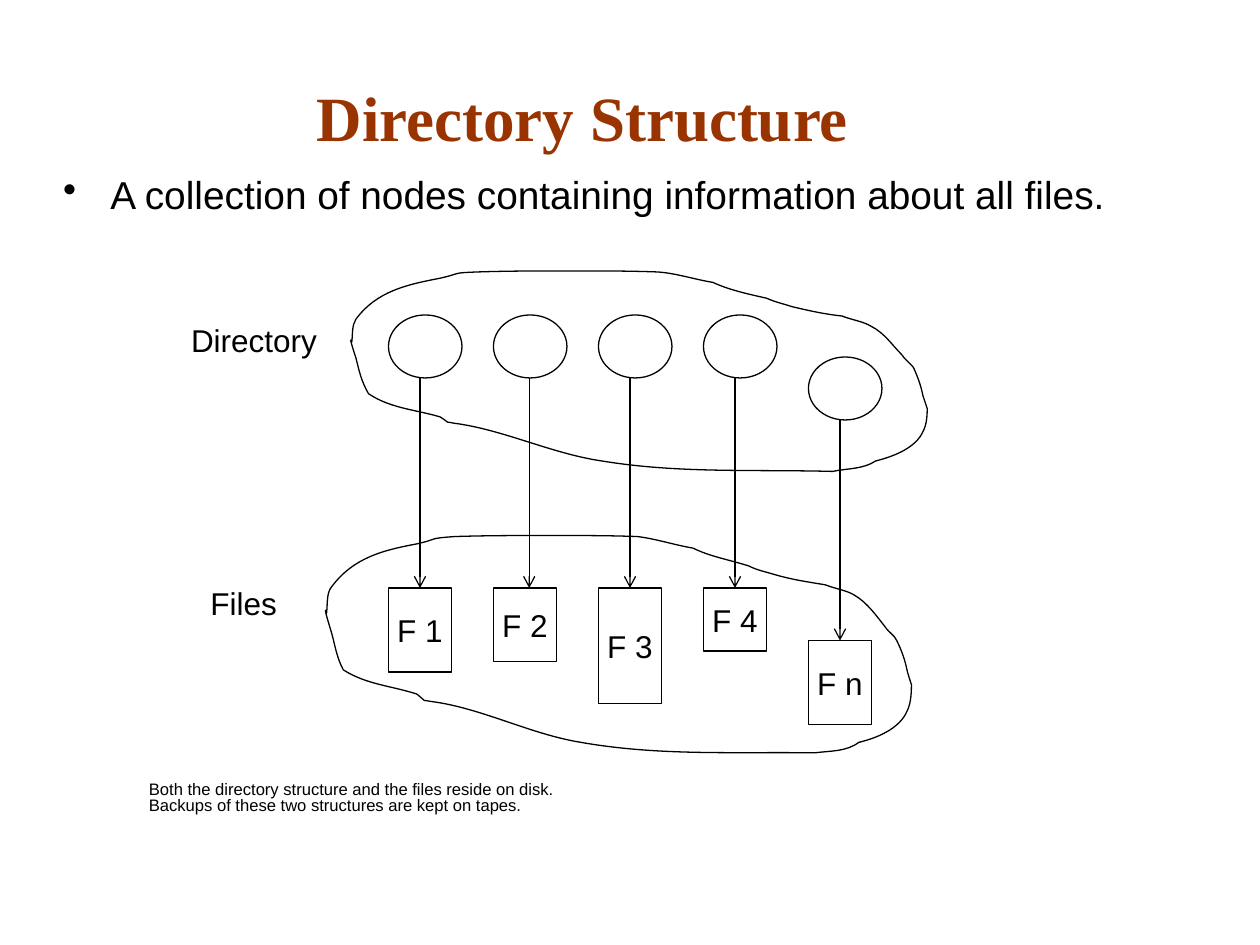
from dataclasses import dataclass, field
from typing import Any

from lxml.etree import SubElement
from pptx import Presentation
from pptx.dml.color import RGBColor
from pptx.enum.shapes import MSO_CONNECTOR, MSO_SHAPE
from pptx.enum.text import MSO_ANCHOR, MSO_AUTO_SIZE, PP_ALIGN
from pptx.oxml.ns import qn
from pptx.util import Pt

EMU_PER_PX = 7620  # 120 px to the inch
COLORS = {"title": "993300", "ink": "000000", "paper": "FFFFFF"}
LINE_WIDTH = Pt(0.75)

# Cloud outline in a 458 x 161 grid: a start point, then three points per curve.
CLOUD_GRID = (458, 161)
CLOUD_START = (1, 57)
CLOUD_CURVES = [
    ((2, 50), (1, 43), (4, 38)),
    ((21, 16), (45, 11), (71, 6)),
    ((89, 2), (79, 2), (101, 1)),
    ((126, 0), (151, 0), (177, 0)),
    ((199, 0), (221, 0), (243, 1)),
    ((257, 2), (272, 7), (287, 9)),
    ((300, 15), (315, 18), (330, 22)),
    ((337, 25), (342, 26), (350, 28)),
    ((364, 32), (375, 34), (390, 36)),
    ((398, 39), (406, 40), (413, 44)),
    ((423, 49), (430, 59), (437, 67)),
    ((440, 71), (444, 73), (446, 77)),
    ((450, 84), (452, 91), (454, 99)),
    ((455, 102), (457, 109), (457, 109)),
    ((457, 113), (457, 122), (454, 128)),
    ((448, 141), (430, 148), (416, 151)),
    ((406, 158), (394, 157), (382, 159)),
    ((318, 158), (260, 161), (199, 151)),
    ((159, 145), (121, 126), (82, 121)),
    ((80, 121), (79, 120), (77, 120)),
    ((75, 119), (73, 117), (71, 116)),
    ((51, 110), (32, 109), (14, 98)),
    ((8, 88), (7, 79), (4, 69)),
    ((4, 69), (0, 57), (0, 55)),
    ((0, 54), (1, 56), (1, 57)),
]

FIRST_COLUMN, COLUMN_STEP = 370, 100
NODE_WIDTH, NODE_HEIGHT = 70, 60
FILE_WIDTH = 60


@dataclass(frozen=True)
class Box:
    left: int
    top: int
    width: int
    height: int

    def emu(self) -> list[int]:
        return [px(value) for value in (self.left, self.top, self.width, self.height)]


@dataclass(frozen=True)
class FileEntry:
    label: str
    node_top: int
    file_top: int
    file_height: int
    arrow_offset: int = 30


@dataclass(frozen=True)
class TextStyle:
    size: float
    font: str = "Arial"
    color: str = "ink"
    bold: bool = False
    align: Any = PP_ALIGN.LEFT
    line_spacing: float = 1.0
    bullet: bool = False
    frame: dict[str, Any] = field(default_factory=dict)


def px(value: int) -> int:
    return value * EMU_PER_PX


def rgb(name: str) -> RGBColor:
    return RGBColor.from_string(COLORS[name])


def set_attributes(target: Any, values: dict[str, Any]) -> None:
    for name, value in values.items():
        setattr(target, name, value)


def write_text(shape: Any, lines: list[str], style: TextStyle) -> None:
    text_frame = shape.text_frame
    margins = {"margin_left": px(12), "margin_right": px(12),
               "margin_top": px(6), "margin_bottom": px(6)}
    set_attributes(text_frame, {"word_wrap": True, **margins, **style.frame})
    for index, line in enumerate(lines):
        paragraph = text_frame.add_paragraph() if index else text_frame.paragraphs[0]
        set_attributes(paragraph, {"alignment": style.align,
                                   "line_spacing": style.line_spacing})
        if style.bullet:
            properties = paragraph._p.get_or_add_pPr()
            properties.set("marL", str(px(45)))
            properties.set("indent", str(px(-45)))
            SubElement(properties, qn("a:buChar"), char="•")
        run = paragraph.add_run()
        run.text = line
        set_attributes(run.font, {"name": style.font, "size": Pt(style.size),
                                  "bold": style.bold})
        run.font.color.rgb = rgb(style.color)


def add_text(slide: Any, box: Box, lines: list[str], style: TextStyle) -> None:
    write_text(slide.shapes.add_textbox(*box.emu()), lines, style)


def outline(shape: Any) -> None:
    shape.line.color.rgb = rgb("ink")
    shape.line.width = LINE_WIDTH


def add_outlined_shape(slide: Any, kind: Any, box: Box) -> Any:
    shape = slide.shapes.add_shape(kind, *box.emu())
    shape.shadow.inherit = False
    shape.fill.solid()
    shape.fill.fore_color.rgb = rgb("paper")
    outline(shape)
    return shape


def add_arrow(slide: Any, x: int, top: int, bottom: int) -> None:
    connector = slide.shapes.add_connector(
        MSO_CONNECTOR.STRAIGHT, px(x), px(top), px(x), px(bottom))
    outline(connector)
    SubElement(connector.line._get_or_add_ln(), qn("a:tailEnd"), type="arrow")
    SubElement(connector._element.spPr, qn("a:effectLst"))


def add_cloud(slide: Any, box: Box) -> None:
    """Draw the outline through its control points, then turn each three into a curve."""
    def place(point: tuple[int, int]) -> tuple[float, float]:
        return (box.left + point[0] * box.width / CLOUD_GRID[0],
                box.top + point[1] * box.height / CLOUD_GRID[1])

    builder = slide.shapes.build_freeform(*place(CLOUD_START), scale=EMU_PER_PX)
    points = [place(point) for curve in CLOUD_CURVES for point in curve]
    builder.add_line_segments(points, close=True)
    cloud = builder.convert_to_shape()
    segments = list(cloud._element.iter(qn("a:lnTo")))
    for start in range(0, len(points), 3):
        first, *others = segments[start:start + 3]
        first.tag = qn("a:cubicBezTo")
        for segment in others:
            first.append(segment[0])
            segment.getparent().remove(segment)
    cloud.shadow.inherit = False
    cloud.fill.background()
    outline(cloud)


def main() -> None:
    presentation = Presentation()
    set_attributes(presentation, {"slide_width": px(1200), "slide_height": px(900)})
    slide = presentation.slides.add_slide(presentation.slide_layouts[6])

    add_text(slide, Box(30, 4, 1080, 150), ["Directory Structure"], TextStyle(
        36, "Times New Roman", "title", True, PP_ALIGN.CENTER, 0.93,
        frame={"vertical_anchor": MSO_ANCHOR.BOTTOM, "margin_right": px(42)}))
    no_margins = {f"margin_{side}": 0 for side in ("left", "right", "top", "bottom")}
    add_text(slide, Box(60, 170, 1050, 50),
             ["A collection of nodes containing information about all files."],
             TextStyle(22.2, line_spacing=0.83, bullet=True, frame=no_margins))

    centered = {"vertical_anchor": MSO_ANCHOR.MIDDLE, "word_wrap": False}
    file_style = TextStyle(18, align=PP_ALIGN.CENTER, frame=centered)
    entries = [
        FileEntry("F 1", 300, 560, 80),
        FileEntry("F 2", 300, 560, 70, arrow_offset=34),
        FileEntry("F 3", 300, 560, 110),
        FileEntry("F 4", 300, 560, 60),
        FileEntry("F n", 340, 610, 80),
    ]
    for column, entry in enumerate(entries):
        left = FIRST_COLUMN + column * COLUMN_STEP
        add_outlined_shape(slide, MSO_SHAPE.OVAL,
                           Box(left, entry.node_top, NODE_WIDTH, NODE_HEIGHT))
        file_shape = add_outlined_shape(
            slide, MSO_SHAPE.RECTANGLE,
            Box(left, entry.file_top, FILE_WIDTH, entry.file_height))
        write_text(file_shape, [entry.label], file_style)
        add_arrow(slide, left + entry.arrow_offset,
                  entry.node_top + NODE_HEIGHT, entry.file_top)

    for cloud_box in (Box(334, 258, 550, 193), Box(310, 510, 559, 210)):
        add_cloud(slide, cloud_box)

    label_style = TextStyle(18, align=PP_ALIGN.CENTER, frame={
        **centered, "auto_size": MSO_AUTO_SIZE.SHAPE_TO_FIT_TEXT})
    add_text(slide, Box(170, 300, 144, 48), ["Directory"], label_style)
    add_text(slide, Box(188, 550, 88, 48), ["Files"], label_style)
    add_text(slide, Box(130, 740, 923, 50),
             ["Both the directory structure and the files reside on disk.",
              "Backups of these two structures are kept on tapes."],
             TextStyle(9.5, line_spacing=0.8))

    presentation.save("out.pptx")


if __name__ == "__main__":
    main()
